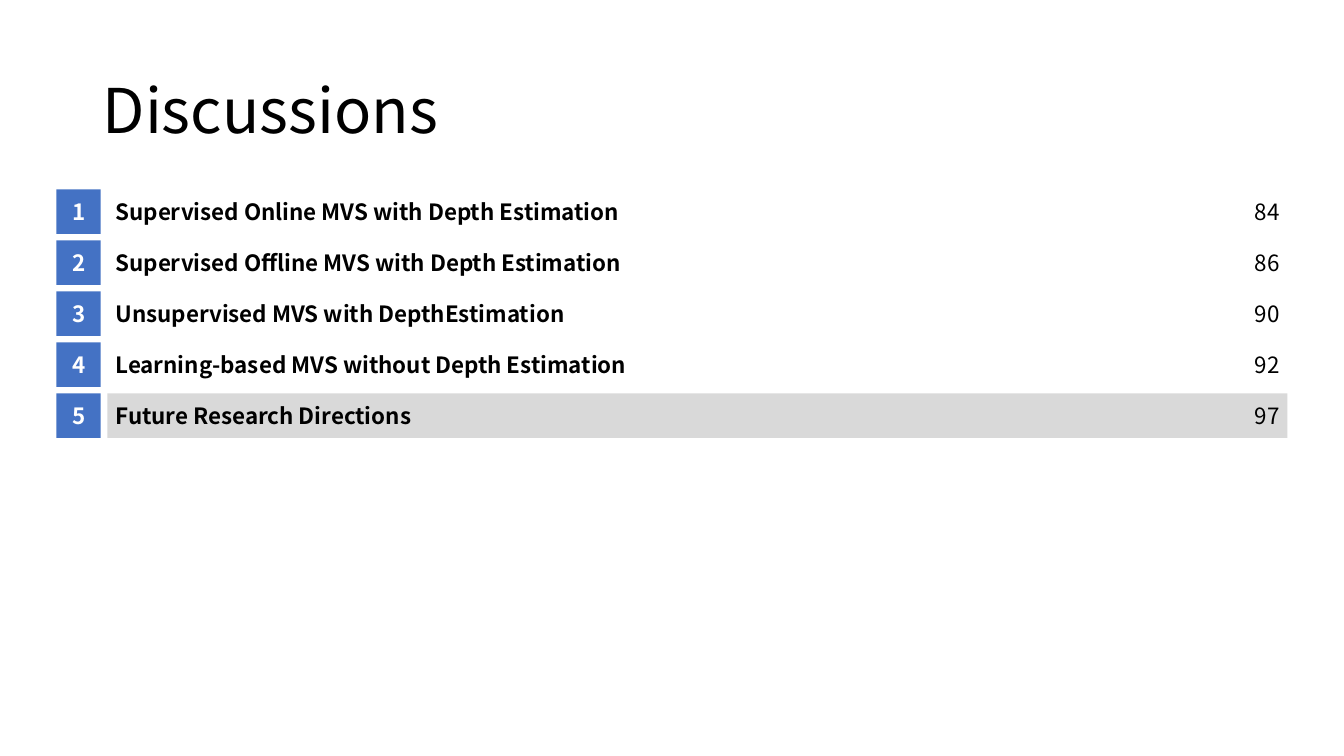
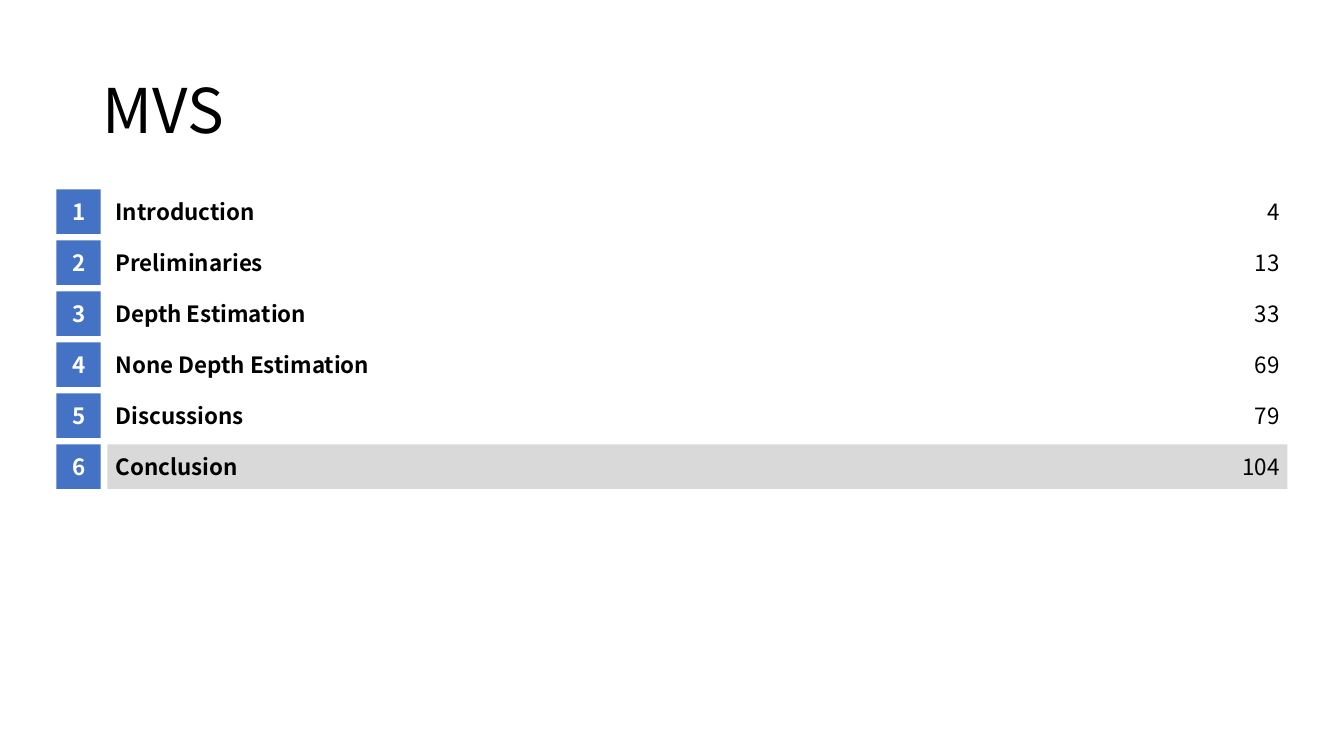
from pptx import Presentation
from pptx.dml.color import RGBColor
from pptx.enum.shapes import MSO_SHAPE as Shape
from pptx.enum.text import MSO_ANCHOR as Anchor, PP_ALIGN as Align
from pptx.util import Inches, Pt

WIDTH, HEIGHT = 13.33, 7.5
FONT = "Noto Sans CJK SC"
BLACK, WHITE, BLUE, GREY = "000000", "FFFFFF", "4472C4", "D9D9D9"

TITLE_BOX = (0.92, 0.4, 11.5, 1.45)
AGENDA_BOX = (0.56, 1.88, 12.21)
ROW = 0.44
PITCH = ROW * 1.15
PADDING = 0.08
PAGE_WIDTH = 0.8

TITLE = {"size": Pt(44)}
LABEL = {"size": Pt(16), "bold": True}
PAGE = {"size": Pt(16)}

AGENDAS = [
    ("Discussions", [
        ("Supervised Online MVS with Depth Estimation", 84),
        ("Supervised Offline MVS with Depth Estimation", 86),
        ("Unsupervised MVS with DepthEstimation", 90),
        ("Learning-based MVS without Depth Estimation", 92),
        ("Future Research Directions", 97),
    ], 5),
    ("MVS", [
        ("Introduction", 4),
        ("Preliminaries", 13),
        ("Depth Estimation", 33),
        ("None Depth Estimation", 69),
        ("Discussions", 79),
        ("Conclusion", 104),
    ], 6),
]


def paint(color_format, color):
    """Set a colour format from a hex string."""
    color_format.rgb = RGBColor.from_string(color)


def write(shape, text, font, color=BLACK, align=Align.LEFT, inset=PADDING, spacing=1.0):
    """Put one vertically centred paragraph into a shape."""
    frame = shape.text_frame
    frame_format = {
        "word_wrap": True, "vertical_anchor": Anchor.MIDDLE,
        "margin_left": Inches(inset), "margin_right": Inches(inset),
        "margin_top": 0, "margin_bottom": 0,
    }
    paragraph = frame.paragraphs[0]
    run = paragraph.add_run()
    run.text = text
    formats = (
        (frame, frame_format),
        (paragraph, {"alignment": align, "line_spacing": spacing}),
        (run.font, {"name": FONT, **font}),
    )
    for target, values in formats:
        for name, value in values.items():
            setattr(target, name, value)
    paint(run.font.color, color)


def add_rectangle(slide, box, color):
    """Add a plain filled rectangle."""
    shape = slide.shapes.add_shape(Shape.RECTANGLE, *map(Inches, box))
    shape.shadow.inherit = False
    shape.fill.solid()
    paint(shape.fill.fore_color, color)
    shape.line.fill.background()
    return shape


def add_text(slide, box, text, font, **options):
    """Add a text box."""
    write(slide.shapes.add_textbox(*map(Inches, box)), text, font, **options)


def add_row(slide, box, number, label, page, current):
    """Place badge, label and page number of one agenda entry in its box."""
    left, top, width = box
    bar_left, bar_width = left + PITCH, width - PITCH
    label_width = bar_width - PAGE_WIDTH
    if current:
        add_rectangle(slide, (bar_left, top, bar_width, ROW), GREY)
    badge = add_rectangle(slide, (left, top, ROW, ROW), BLUE)
    write(badge, str(number), LABEL, color=WHITE, align=Align.CENTER)
    add_text(slide, (bar_left, top, label_width, ROW), label, LABEL)
    add_text(slide, (bar_left + label_width, top, PAGE_WIDTH, ROW), str(page), PAGE,
             align=Align.RIGHT)


def add_agenda(slide, box, entries, current):
    """Stack the agenda entries from the top of the box."""
    left, top, width = box
    for index, (label, page) in enumerate(entries):
        number = index + 1
        add_row(slide, (left, top + index * PITCH, width), number, label, page,
                number == current)


def add_agenda_slide(presentation, title, entries, current):
    """Add a slide with a title and an agenda."""
    slide = presentation.slides.add_slide(presentation.slide_layouts[6])
    add_text(slide, TITLE_BOX, title, TITLE, inset=0.1, spacing=0.9)
    add_agenda(slide, AGENDA_BOX, entries, current)


def main():
    """Build and save the presentation."""
    presentation = Presentation()
    presentation.slide_width = Inches(WIDTH)
    presentation.slide_height = Inches(HEIGHT)
    for agenda in AGENDAS:
        add_agenda_slide(presentation, *agenda)
    presentation.save("out.pptx")


if __name__ == "__main__":
    main()
